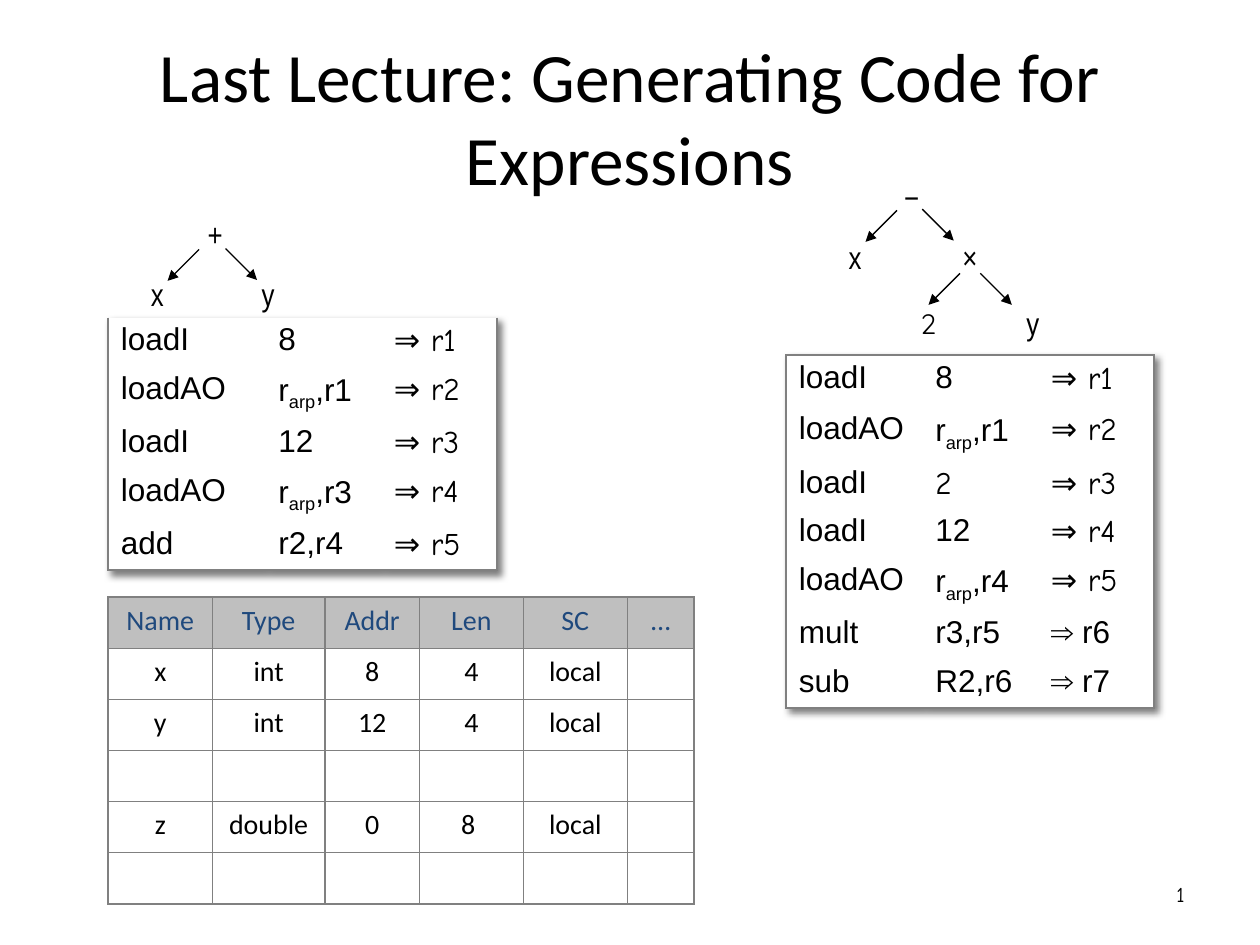
"""Builds the lecture slide on generating code for expressions."""
from lxml import etree
from pptx import Presentation
from pptx.dml.color import RGBColor
from pptx.enum.shapes import MSO_CONNECTOR
from pptx.enum.text import MSO_ANCHOR, PP_ALIGN
from pptx.oxml import parse_xml
from pptx.oxml.ns import nsdecls, qn
from pptx.util import Pt

STRAIGHT = MSO_CONNECTOR.STRAIGHT
MIDDLE = MSO_ANCHOR.MIDDLE
LEFT, CENTER, RIGHT = PP_ALIGN.LEFT, PP_ALIGN.CENTER, PP_ALIGN.RIGHT
BLACK = RGBColor(0x00, 0x00, 0x00)
WHITE = RGBColor(0xFF, 0xFF, 0xFF)
GRAY = RGBColor(0x80, 0x80, 0x80)
SILVER = RGBColor(0xBF, 0xBF, 0xBF)
NAVY = RGBColor(0x1F, 0x49, 0x7D)
SANS, NARROW, HEADING, HAND, ROUND = "Arial", "Arial Narrow", "Calibri", "Comic Neue", "Quicksand"
PLAIN_TABLE = "{2D5ABB26-0587-4C30-8999-92F81FD0307C}"

SUM_TREE = [("+", 110.9, 119.5), ("x", 77.8, 153.4), ("y", 141.1, 153.4)]
SUM_ARROWS = [(113.8, 142.5, -18), (128.9, 142, 18)]
DIFF_TREE = [("−", 509, 98), ("×", 542.2, 132.5), ("x", 476.6, 132.5),
             ("y", 578.2, 170), ("2", 518.4, 171.4)]
DIFF_ARROWS = [(512.6, 120.2, -18), (548.6, 156.2, -18), (560.2, 156.2, 18), (527, 119.5, 18)]
SUM_CODE = [
    ("loadI", "8", "⇒ r1"),
    ("loadAO", "r|arp|,r1", "⇒ r2"),
    ("loadI", "12", "⇒ r3"),
    ("loadAO", "r|arp|,r3", "⇒ r4"),
    ("add", "r2,r4", "⇒ r5"),
]
DIFF_CODE = [
    ("loadI", "8", "⇒ r1"),
    ("loadAO", "r|arp|,r1", "⇒ r2"),
    ("loadI", "2", "⇒ r3"),
    ("loadI", "12", "⇒ r4"),
    ("loadAO", "r|arp|,r4", "⇒ r5"),
    ("mult", "r3,r5", "⇒ r6"),
    ("sub", "R2,r6", "⇒ r7"),
]
SYMBOLS = [
    ("Name", "Type", "Addr", "Len", "SC", "…"),
    ("x", "int", "8", "4", "local", ""),
    ("y", "int", "12", "4", "local", ""),
    ("",) * 6,
    ("z", "double", "0", "8 ", "local", ""),
    ("",) * 6,
]


class SlideBuilder:
    """Holds the style and the current slide."""

    def __init__(self, slide):
        self.slide = slide

    def add_runs(self, tf, text, font, size, color=BLACK, align=LEFT):
        """Add text run by run, with subscripts between bars."""
        p = tf.paragraphs[0]
        p.alignment = align
        for i, part in enumerate(text.split("|")):
            r = p.add_run()
            r.text = part
            r.font.name, r.font.size = font, Pt(size)
            r.font.color.rgb = color
            if i % 2:
                r.font._element.set("baseline", "-25000")
        return p

    def title(self, text, x, y, w, h):
        """Fill the title placeholder."""
        sp = self.slide.shapes.title
        sp.left, sp.top, sp.width, sp.height = Pt(x), Pt(y), Pt(w), Pt(h)
        sp.text_frame.vertical_anchor = MIDDLE
        self.add_runs(sp.text_frame, text, HEADING, 39.6, align=CENTER)

    def text(self, shapes, text, x, y, w, h, font, size, align):
        """Add a text box."""
        tf = shapes.add_textbox(Pt(x), Pt(y), Pt(w), Pt(h)).text_frame
        tf.word_wrap = True
        self.add_runs(tf, text, font, size, align=align)

    def arrow(self, shapes, x, y, dx):
        """Add a diagonal arrow pointing down."""
        c = shapes.add_connector(STRAIGHT, Pt(x), Pt(y), Pt(x + dx), Pt(y + abs(dx)))
        c.line.color.rgb, c.line.width = BLACK, Pt(0.75)
        etree.SubElement(c.line._get_or_add_ln(), qn("a:tailEnd"), type="triangle")
        etree.SubElement(c._element.spPr, qn("a:effectLst"))

    def tree(self, nodes, arrows):
        """Add an expression tree as one group."""
        shapes = self.slide.shapes.add_group_shape().shapes
        for label, x, y in nodes:
            font, size = (ROUND, 16) if label.isdigit() else (NARROW, 18)
            self.text(shapes, label, x, y, 24, 28.8, font, size, CENTER)
        for start in arrows:
            self.arrow(shapes, *start)

    def table(self, x, y, widths, heights):
        """Add a table without a style."""
        gf = self.slide.shapes.add_table(len(heights), len(widths), Pt(x), Pt(y),
                                         Pt(sum(widths)), Pt(sum(heights)))
        table = gf.table
        table.first_row = table.horz_banding = False
        table._tbl.tblPr.find(qn("a:tableStyleId")).text = PLAIN_TABLE
        for col, width in zip(table.columns, widths):
            col.width = Pt(width)
        for row, height in zip(table.rows, heights):
            row.height = Pt(height)
        return table

    def borders(self, cell, left, right, top, bottom):
        """Draw cell borders of the given widths."""
        tc_pr = cell._tc.get_or_add_tcPr()
        for side, width in zip("LRTB", (left, right, top, bottom)):
            fill = f'<a:solidFill><a:srgbClr val="{GRAY}"/></a:solidFill>' if width else "<a:noFill/>"
            tc_pr.append(parse_xml(f'<a:ln{side} {nsdecls("a")} w="{Pt(width)}">{fill}</a:ln{side}>'))

    def code_table(self, x, y, widths, heights, rows, hand_cells, top):
        """Add a shadowed listing of instructions."""
        table = self.table(x, y, widths, heights)
        table._tbl.tblPr.insert(0, parse_xml(
            f'<a:effectLst {nsdecls("a")}><a:outerShdw blurRad="50800" dist="38100" dir="2700000" '
            'algn="tl" rotWithShape="0"><a:srgbClr val="000000"><a:alpha val="50000"/></a:srgbClr>'
            '</a:outerShdw></a:effectLst>'))
        for i, row in enumerate(rows):
            for j, text in enumerate(row):
                cell = table.cell(i, j)
                self.borders(cell, 1.5 * (j == 0), 1.5 * (j == len(row) - 1),
                             top * (i == 0), 1.5 * (i == len(rows) - 1))
                cell.fill.solid()
                cell.fill.fore_color.rgb = WHITE
                font = HAND if (i, j) in hand_cells else SANS
                self.add_runs(cell.text_frame, text, font, 18).line_spacing = 0.95

    def symbol_table(self, x, y, widths, height, rows):
        """Add a ruled table with a shaded header."""
        table = self.table(x, y, widths, [height] * len(rows))
        for i, row in enumerate(rows):
            for j, text in enumerate(row):
                cell = table.cell(i, j)
                outer = (j == 0, j == len(row) - 1, i == 0, i == len(rows) - 1)
                self.borders(cell, *(1.5 if edge else 1 for edge in outer))
                if i == 0:
                    cell.fill.solid()
                    cell.fill.fore_color.rgb = SILVER
                if text:
                    self.add_runs(cell.text_frame, text, HEADING, 16, BLACK if i else NAVY, CENTER)


def main():
    """Build and save the slide."""
    prs = Presentation()
    prs.slide_width, prs.slide_height = Pt(720), Pt(540)
    s = SlideBuilder(prs.slides.add_slide(prs.slide_layouts[5]))
    s.title("Last Lecture: Generating Code for Expressions", 36, 21.6, 648, 90)
    s.text(s.slide.shapes, "1", 516, 500.4, 168, 28.8, HAND, 12, RIGHT)
    s.tree(SUM_TREE, SUM_ARROWS)
    s.code_table(61.9, 181.5, [90, 66, 66], [17.3] * 5, SUM_CODE,
                 {(i, 2) for i in range(5)}, 0)
    s.tree(DIFF_TREE, DIFF_ARROWS)
    s.code_table(449.3, 203, [78, 66, 66], [29.5] + [17.3] * 6, DIFF_CODE,
                 {(i, 2) for i in range(5)} | {(2, 1)}, 1.5)
    s.symbol_table(61.9, 341.3, [59.4, 64.4, 54, 59.4, 59.4, 38.2], 29.2, SYMBOLS)
    prs.save("out.pptx")


if __name__ == "__main__":
    main()
